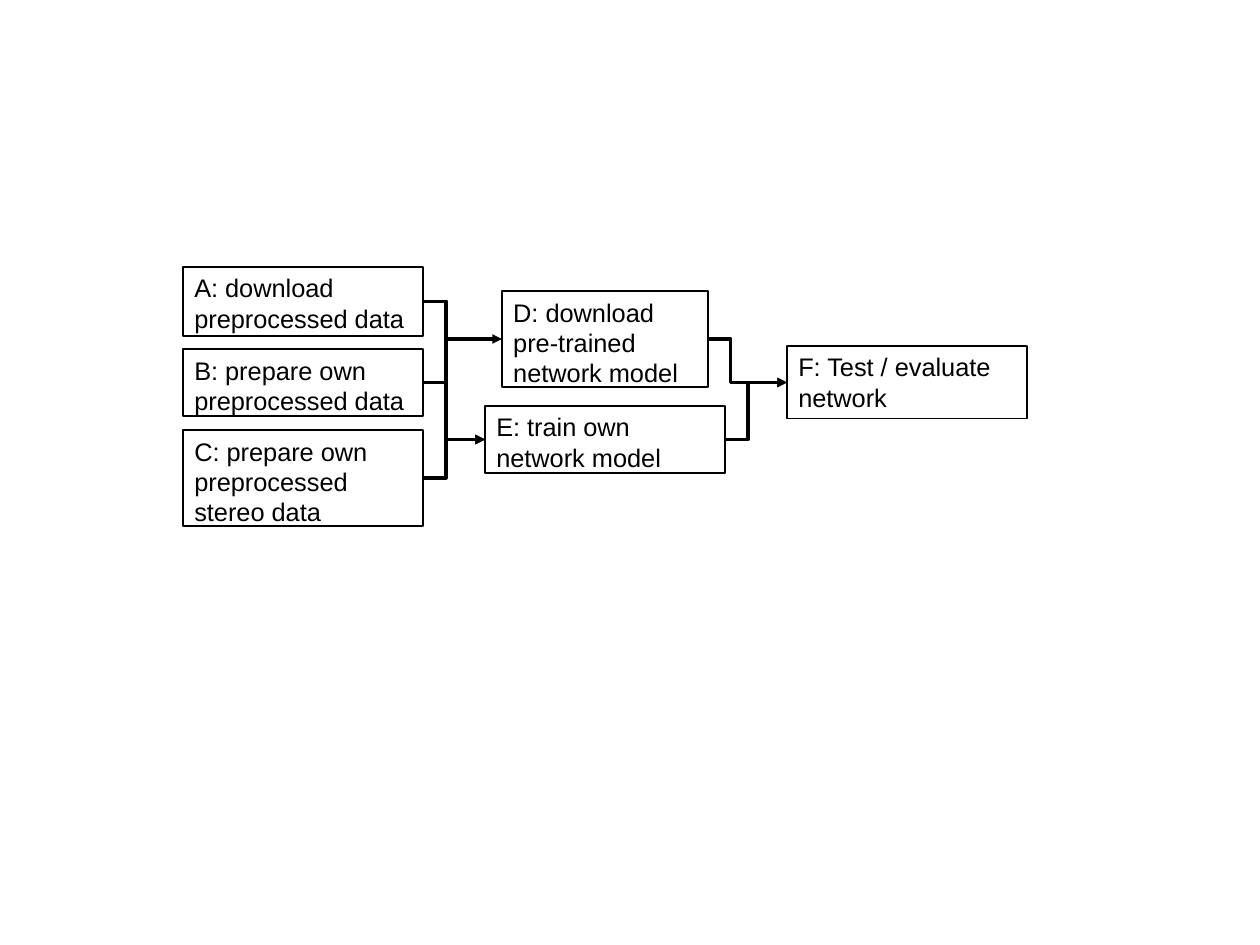
"""Build the network workflow slide: data, model and evaluation boxes joined by arrows."""
import pptx
import pptx.dml.color
import pptx.enum.shapes
import pptx.enum.text
import pptx.oxml.ns
import pptx.util
from lxml import etree

PX = 8000
BLACK = pptx.dml.color.RGBColor(0, 0, 0)
WHITE = pptx.dml.color.RGBColor(255, 255, 255)
LEFT_SITE, RIGHT_SITE = 1, 3
BEND = 23

presentation = pptx.Presentation()
presentation.slide_width = 1260 * PX
presentation.slide_height = 945 * PX
slide = presentation.slides.add_slide(presentation.slide_layouts[6])

steps = [
    ("A: download preprocessed data", 183, 267, 240, 69),
    ("B: prepare own preprocessed data", 183, 349, 240, 67),
    ("C: prepare own preprocessed stereo data", 183, 430, 240, 96),
    ("D: download pre-trained network model", 502, 291, 206, 96),
    ("E: train own network model", 485, 406, 240, 67),
    ("F: Test / evaluate network", 787, 346, 240, 73),
]
boxes = {}
for text, left, top, width, height in steps:
    shape = slide.shapes.add_shape(
        pptx.enum.shapes.MSO_SHAPE.RECTANGLE, left * PX, top * PX, width * PX, height * PX
    )
    shape.shadow.inherit = False
    shape.fill.solid()
    shape.fill.fore_color.rgb = WHITE
    shape.line.color.rgb = BLACK
    shape.line.width = 0
    frame = shape.text_frame
    frame.word_wrap = True
    frame.auto_size = pptx.enum.text.MSO_AUTO_SIZE.NONE
    frame.vertical_anchor = pptx.enum.text.MSO_ANCHOR.TOP
    paragraph = frame.paragraphs[0]
    paragraph.alignment = pptx.enum.text.PP_ALIGN.LEFT
    run = paragraph.add_run()
    run.text = text
    run.font.name = "Arial"
    run.font.size = pptx.util.Pt(16)
    run.font.color.rgb = BLACK
    boxes[text[0]] = shape

for source, target in ("AD", "BE", "CE", "DF", "EF", "AE"):
    connector = slide.shapes.add_connector(pptx.enum.shapes.MSO_CONNECTOR.ELBOW, 0, 0, 0, 0)
    connector.begin_connect(boxes[source], RIGHT_SITE)
    connector.end_connect(boxes[target], LEFT_SITE)
    connector.line.color.rgb = BLACK
    connector.line.width = 0
    properties = connector.element.spPr
    adjustments = properties.find(".//" + pptx.oxml.ns.qn("a:avLst"))
    bend = round(100000 * BEND * PX / connector.width)
    etree.SubElement(adjustments, pptx.oxml.ns.qn("a:gd"), name="adj1", fmla=f"val {bend}")
    outline = properties.find(pptx.oxml.ns.qn("a:ln"))
    etree.SubElement(outline, pptx.oxml.ns.qn("a:tailEnd"), type="triangle")
    etree.SubElement(properties, pptx.oxml.ns.qn("a:effectLst"))

presentation.save("out.pptx")
